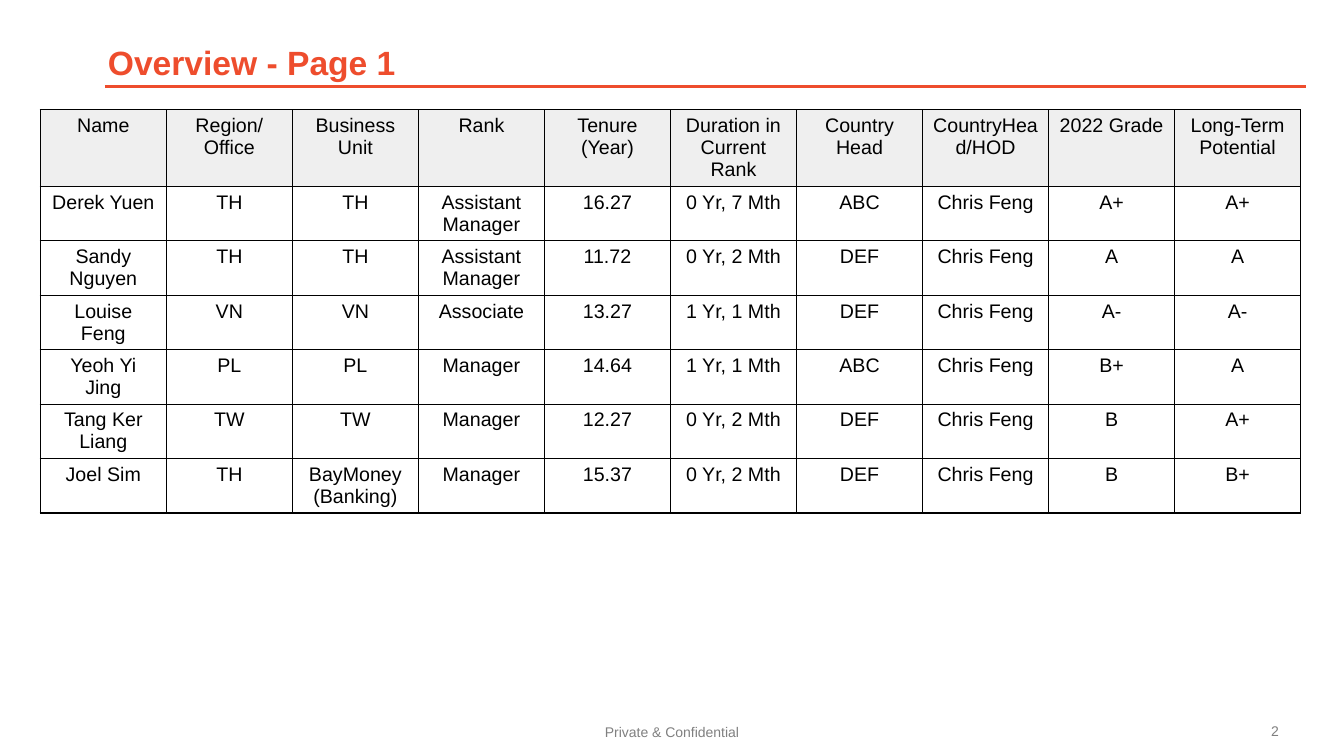
"""Build the staff overview slide with its grade table."""
import pptx
import pptx.dml.color
import pptx.enum.shapes
import pptx.enum.text
import pptx.oxml
import pptx.util
from pptx.util import Inches

TITLE = "Overview - Page 1"
HEADER = ("Name", "Region/Office", "Business Unit", "Rank", "Tenure (Year)",
          "Duration in Current Rank", "Country Head", "CountryHead/HOD",
          "2022 Grade", "Long-Term Potential")
STAFF = [
    ("Derek Yuen", "TH", "TH", "Assistant Manager", "16.27", "0 Yr, 7 Mth", "ABC", "Chris Feng", "A+", "A+"),
    ("Sandy Nguyen", "TH", "TH", "Assistant Manager", "11.72", "0 Yr, 2 Mth", "DEF", "Chris Feng", "A", "A"),
    ("Louise Feng", "VN", "VN", "Associate", "13.27", "1 Yr, 1 Mth", "DEF", "Chris Feng", "A-", "A-"),
    ("Yeoh Yi Jing", "PL", "PL", "Manager", "14.64", "1 Yr, 1 Mth", "ABC", "Chris Feng", "B+", "A"),
    ("Tang Ker Liang", "TW", "TW", "Manager", "12.27", "0 Yr, 2 Mth", "DEF", "Chris Feng", "B", "A+"),
    ("Joel Sim", "TH", "BayMoney (Banking)", "Manager", "15.37", "0 Yr, 2 Mth", "DEF", "Chris Feng", "B", "B+"),
]
CENTER = pptx.enum.text.PP_ALIGN.CENTER
LEFT = pptx.enum.text.PP_ALIGN.LEFT
MIDDLE = pptx.enum.text.MSO_ANCHOR.MIDDLE
FOOTER = [
    ("Private & Confidential", (3.01, 7.02, 7.31, 0.48), "808080", CENTER),
    ("2", (12.51, 7.05, 0.42, 0.41), "7F7F7F", LEFT),
]
ACCENT = "EE4D2D"
COL_WIDTH, HEADER_HEIGHT, ROW_HEIGHT = 1.25, 0.76, 0.54


def rgb(value):
    return pptx.dml.color.RGBColor.from_string(value)


def write(tf, text, size, color, align, bold=False):
    tf.word_wrap = True
    p = tf.paragraphs[0]
    p.text = text
    p.alignment = align
    p.font.name = "Arial"
    p.font.size = pptx.util.Pt(size)
    p.font.bold = bold
    p.font.color.rgb = rgb(color)


def add_borders(cell):
    tc_pr = cell._tc.get_or_add_tcPr()
    for i, side in enumerate(("lnL", "lnR", "lnT", "lnB")):
        tc_pr.insert(i, pptx.oxml.parse_xml(
            f'<a:{side} xmlns:a="http://schemas.openxmlformats.org/drawingml/2006/main" w="12700">'
            f'<a:solidFill><a:srgbClr val="000000"/></a:solidFill></a:{side}>'))


def add_title(s):
    title = s.shapes.title
    title.left, title.top, title.width, title.height = map(Inches, (0.97, 0.36, 11.14, 0.51))
    write(title.text_frame, TITLE, 24, ACCENT, LEFT, True)
    title.text_frame.vertical_anchor = MIDDLE
    rule = s.shapes.add_connector(pptx.enum.shapes.MSO_CONNECTOR.STRAIGHT,
                                  *map(Inches, (1.04, 0.86, 12.95, 0.86)))
    rule.line.color.rgb = rgb(ACCENT)
    rule.line.width = pptx.util.Pt(2)
    rule._element.spPr.append(pptx.oxml.parse_xml(
        '<a:effectLst xmlns:a="http://schemas.openxmlformats.org/drawingml/2006/main"/>'))


def add_staff_table(s):
    rows = [HEADER] + STAFF
    width = COL_WIDTH * len(HEADER)
    height = HEADER_HEIGHT + ROW_HEIGHT * len(STAFF)
    table = s.shapes.add_table(len(rows), len(HEADER), Inches(0.4), Inches(1.09),
                               Inches(width), Inches(height)).table
    table.first_row = table.horz_banding = False
    for r, values in enumerate(rows):
        table.rows[r].height = Inches(ROW_HEIGHT if r else HEADER_HEIGHT)
        for c, value in enumerate(values):
            cell = table.cell(r, c)
            write(cell.text_frame, value, 14, "000000", CENTER)
            cell.fill.solid()
            cell.fill.fore_color.rgb = rgb("FFFFFF" if r else "EFEFEF")
            add_borders(cell)


def add_footer(s):
    for text, box, color, align in FOOTER:
        tf = s.shapes.add_textbox(*map(Inches, box)).text_frame
        write(tf, text, 10, color, align)
        tf.vertical_anchor = MIDDLE
        tf.margin_left = tf.margin_right = tf.margin_top = tf.margin_bottom = Inches(0.1)


def main():
    prs = pptx.Presentation()
    prs.slide_width, prs.slide_height = Inches(13.33), Inches(7.5)
    s = prs.slides.add_slide(prs.slide_layouts[5])
    add_title(s)
    add_staff_table(s)
    add_footer(s)
    prs.save("out.pptx")


if __name__ == "__main__":
    main()
